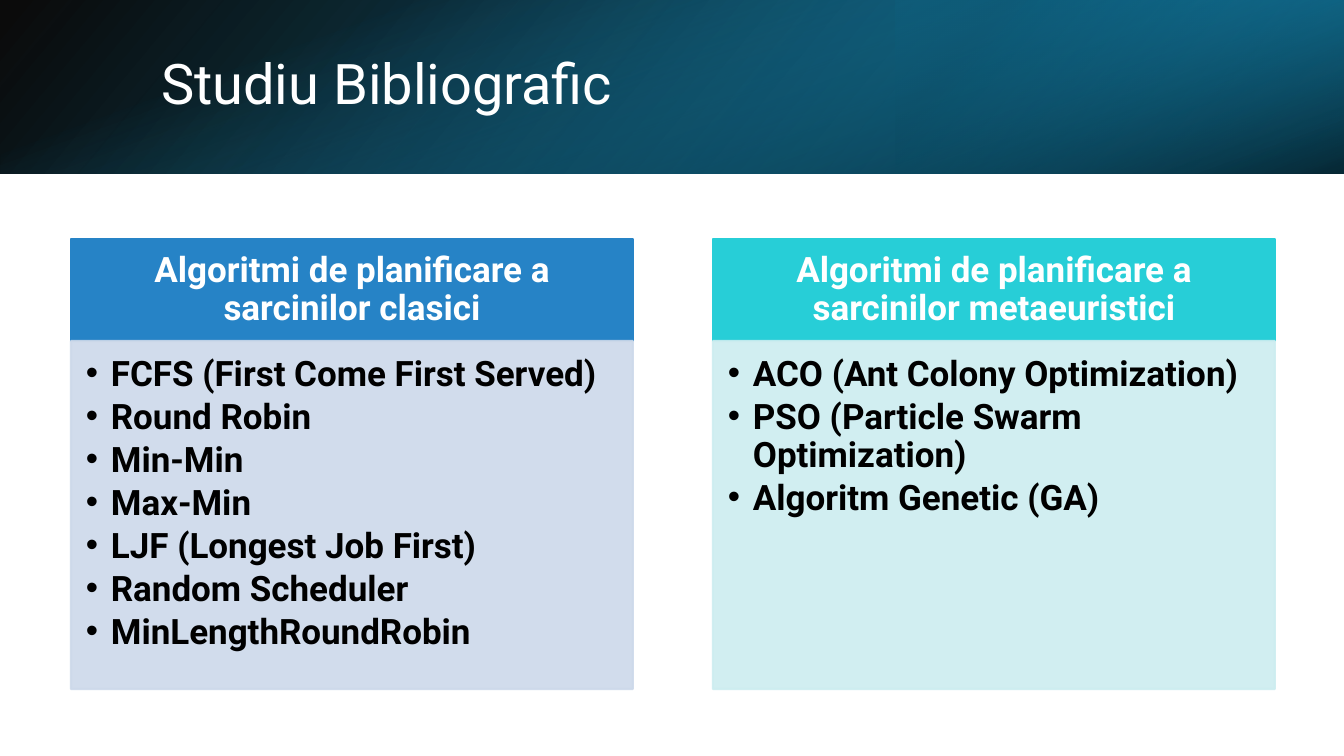
"""Build the slide on classic and metaheuristic scheduling algorithms."""
from dataclasses import dataclass

import pptx
import pptx.dml.color
import pptx.enum.shapes
import pptx.enum.text
import pptx.oxml.ns
import pptx.oxml.xmlchemy
import pptx.util
from lxml import etree

TITLE = "Studiu Bibliografic"
COLUMNS = [
    {
        "heading": "Algoritmi de planificare a sarcinilor clasici",
        "colors": ("2683C6", "CDD9EA"),
        "items": [
            "FCFS (First Come First Served)",
            "Round Robin",
            "Min-Min",
            "Max-Min",
            "LJF (Longest Job First)",
            "Random Scheduler",
            "MinLengthRoundRobin",
        ],
    },
    {
        "heading": "Algoritmi de planificare a sarcinilor metaeuristici",
        "colors": ("27CED7", "CDEDF0"),
        "items": [
            "ACO (Ant Colony Optimization)",
            "PSO (Particle Swarm Optimization)",
            "Algoritm Genetic (GA)",
        ],
    },
]

SLIDE_W, SLIDE_H, BAND_H = 1344, 756, 174
TITLE_BOX = (151, 38, 1107, 97)
COL_X, COL_Y, COL_W, COL_STEP = 71, 239, 562, 642
HEAD_H, BODY_H, INDENT = 102, 348, 25
HEAD_INSETS, BODY_INSETS = (19, 11, 19, 11), (15, 15, 19, 22)

BANDS = [
    {"box": (0, 0, SLIDE_W, BAND_H), "rotation": 0, "flip": True, "angle": 140,
     "stops": [(0, "000000", 96), (100, "1482AC", 100)]},
    {"box": (896, 0, SLIDE_W - 896, BAND_H), "rotation": 180, "flip": True, "angle": 320,
     "stops": [(19, "0E5772", 68), (100, "1CADE4", 79)]},
    {"box": ((SLIDE_W - BAND_H) // 2, (BAND_H - SLIDE_W) // 2, BAND_H, SLIDE_W),
     "rotation": 90, "flip": False, "angle": 340,
     "stops": [(23, "1CADE4", 0), (99, "000000", 74)]},
]


@dataclass(frozen=True)
class Theme:
    font: str = "Roboto"
    light: str = "FFFFFF"
    dark: str = "000000"
    title_size: int = 40
    text_size: int = 25
    line_width: float = 1.5
    line_spacing: float = 0.9
    item_gap: float = 3.75
    body_alpha: int = 90


THEME = Theme()
qn = pptx.oxml.ns.qn
Pt = pptx.util.Pt
rgb = pptx.dml.color.RGBColor.from_string
ALIGN = pptx.enum.text.PP_ALIGN
ANCHOR = pptx.enum.text.MSO_ANCHOR


def px(n):
    return pptx.util.Emu(round(n * 914400 / 100.8))


def add_rect(slide, box):
    kind = pptx.enum.shapes.MSO_SHAPE.RECTANGLE
    sp = slide.shapes.add_shape(kind, *map(px, box))
    sp.shadow.inherit = False
    return sp


def set_alphas(sp, alphas):
    colors = list(sp._element.spPr.iter(qn("a:srgbClr")))
    for color, alpha in zip(colors, alphas):
        etree.SubElement(color, qn("a:alpha"), val=str(alpha * 1000))


def add_band(slide, band):
    sp = add_rect(slide, band["box"])
    sp.rotation = band["rotation"]
    if band["flip"]:
        sp._element.spPr.find(qn("a:xfrm")).set("flipH", "1")
    sp.line.fill.background()
    sp.fill.gradient()
    sp.fill.gradient_angle = 360 - band["angle"]
    for stop, (position, color, _) in zip(sp.fill.gradient_stops, band["stops"]):
        stop.position = position / 100
        stop.color.rgb = rgb(color)
    set_alphas(sp, [alpha for _, _, alpha in band["stops"]])


def add_panel(slide, box, color, insets, anchor):
    sp = add_rect(slide, box)
    sp.fill.solid()
    sp.fill.fore_color.rgb = rgb(color)
    sp.line.color.rgb = rgb(color)
    sp.line.width = Pt(THEME.line_width)
    tf = sp.text_frame
    tf.word_wrap = True
    tf.vertical_anchor = anchor
    tf.margin_left, tf.margin_top, tf.margin_right, tf.margin_bottom = map(px, insets)
    return sp


def format_text(tf, size, color, bold, align):
    for p in tf.paragraphs:
        p.alignment = align
        p.line_spacing = THEME.line_spacing
        for r in p.runs:
            r.font.name = THEME.font
            r.font.size = Pt(size)
            r.font.bold = bold
            r.font.color.rgb = rgb(color)


def add_bullets(tf):
    for p in tf.paragraphs:
        p.space_after = Pt(THEME.item_gap)
        pPr = p._p.get_or_add_pPr()
        pPr.set("marL", str(px(INDENT)))
        pPr.set("indent", str(-px(INDENT)))
        etree.SubElement(pPr, qn("a:buFont"), typeface="Arial")
        etree.SubElement(pPr, qn("a:buChar"), char="•")


def add_column(slide, x, column):
    head_color, body_color = column["colors"]
    head = add_panel(slide, (x, COL_Y, COL_W, HEAD_H), head_color, HEAD_INSETS, ANCHOR.MIDDLE)
    head.text_frame.text = column["heading"]
    format_text(head.text_frame, THEME.text_size, THEME.light, True, ALIGN.CENTER)

    body_box = (x, COL_Y + HEAD_H, COL_W, BODY_H)
    body = add_panel(slide, body_box, body_color, BODY_INSETS, ANCHOR.TOP)
    set_alphas(body, [THEME.body_alpha] * 2)
    body.text_frame.text = "\n".join(column["items"])
    format_text(body.text_frame, THEME.text_size, THEME.dark, True, ALIGN.LEFT)
    add_bullets(body.text_frame)


def place_title(slide):
    title = slide.shapes.title
    title.left, title.top, title.width, title.height = map(px, TITLE_BOX)
    tf = title.text_frame
    tf.text = TITLE
    tf.vertical_anchor = ANCHOR.MIDDLE
    tf.auto_size = pptx.enum.text.MSO_AUTO_SIZE.NONE
    format_text(tf, THEME.title_size, THEME.light, False, ALIGN.LEFT)
    slide.shapes._spTree.append(title._element)


def main():
    prs = pptx.Presentation()
    prs.slide_width, prs.slide_height = px(SLIDE_W), px(SLIDE_H)
    slide = prs.slides.add_slide(prs.slide_layouts[5])
    for band in BANDS:
        add_band(slide, band)
    place_title(slide)
    for i, column in enumerate(COLUMNS):
        add_column(slide, COL_X + i * COL_STEP, column)
    prs.save("out.pptx")


if __name__ == "__main__":
    main()
